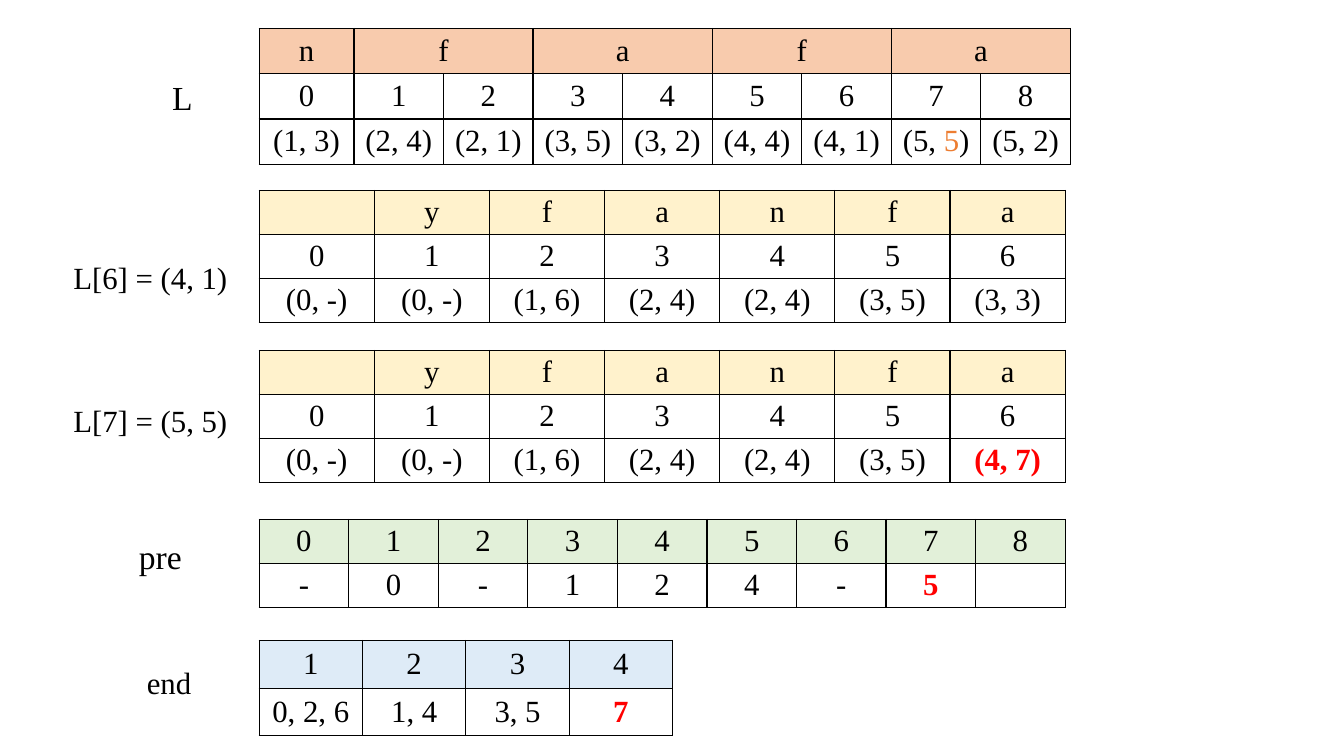
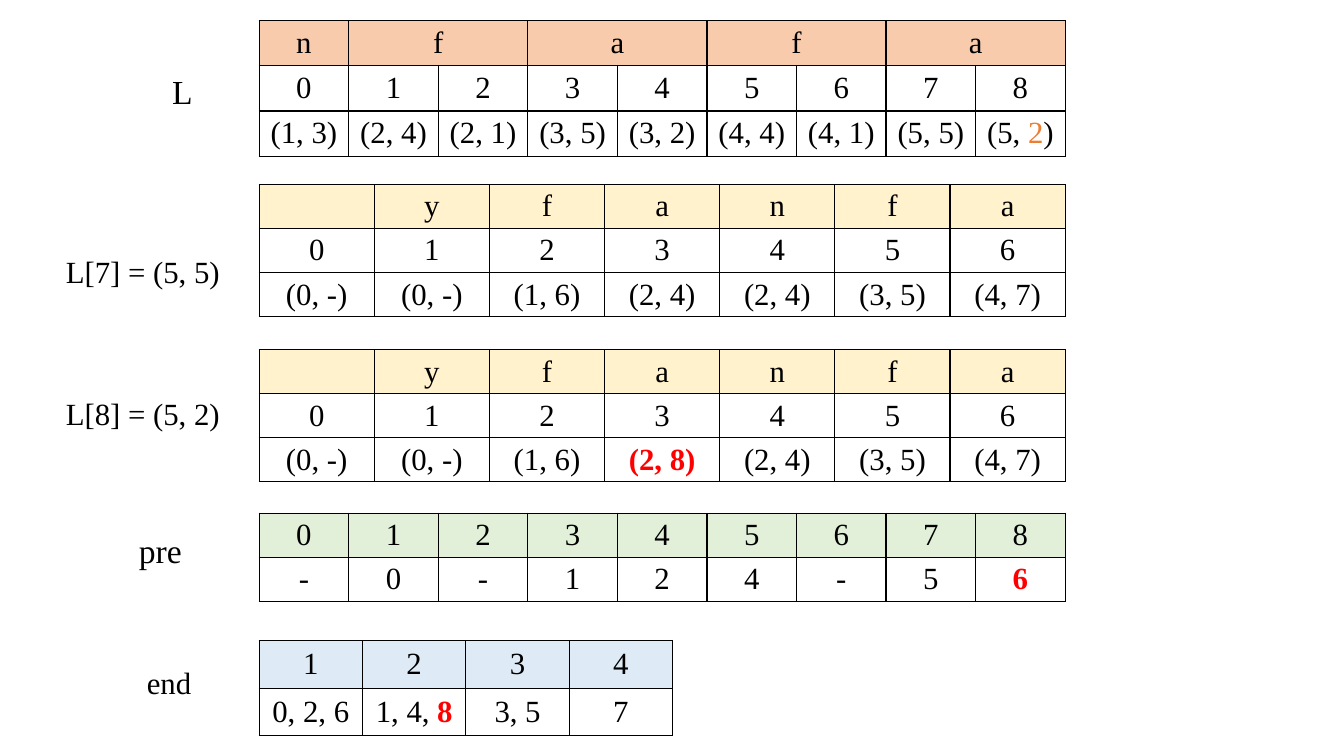
from dataclasses import dataclass

from lxml import etree
from pptx import Presentation
from pptx.dml.color import RGBColor
from pptx.enum.text import MSO_ANCHOR, PP_ALIGN
from pptx.oxml.ns import qn
from pptx.util import Cm, Pt

MIDDLE = MSO_ANCHOR.MIDDLE
CENTER, LEFT = PP_ALIGN.CENTER, PP_ALIGN.LEFT


@dataclass(frozen=True)
class Theme:
    font: str = "Times New Roman"
    body: int = 22
    label: int = 24
    text: str = "000000"
    pointer: str = "ED7D31"
    changed: str = "FF0000"
    list_head: str = "F8CBAD"
    state_head: str = "FFF2CC"
    pre_head: str = "E2F0D9"
    end_head: str = "DEEBF7"


T = Theme()

SLIDE_W, SLIDE_H = 33.87, 19.05
TABLE_X, TABLE_W = 6.53, 20.32
LABEL_H = 1.2


def changed(text):
    return (text, T.changed, True)


def pointer(text):
    return (text, T.pointer, False)


NUMBERS = [str(i) for i in range(9)]
LIST_HEAD = ["n", "f", None, "a", None, "f", None, "a", None]
LIST_PAIRS = ["(1, 3)", "(2, 4)", "(2, 1)", "(3, 5)", "(3, 2)", "(4, 4)", "(4, 1)"]
STATE_HEAD = ["", "y", "f", "a", "n", "f", "a"]
STATE_START = ["(0, -)", "(0, -)", "(1, 6)"]
STATE_END = ["(2, 4)", "(3, 5)"]
PRE_START = ["-", "0", "-", "1", "2", "4", "-"]

KINDS = {
    "list": dict(head=[LIST_HEAD, NUMBERS], fill=T.list_head, row_h=1.14, width=TABLE_W),
    "state": dict(head=[STATE_HEAD, NUMBERS[:7]], fill=T.state_head, row_h=1.11, width=TABLE_W),
    "pre": dict(head=[NUMBERS], fill=T.pre_head, row_h=1.11, width=TABLE_W),
    "end": dict(head=[NUMBERS[1:5]], fill=T.end_head, row_h=1.2, width=10.42),
}

SLIDES = [
    dict(
        first_col=2.39,
        tables=[
            ("list", 0.72, LIST_PAIRS + [["(5, ", pointer("5"), ")"], "(5, 2)"]),
            ("state", 4.8, STATE_START + ["(2, 4)"] + STATE_END + ["(3, 3)"]),
            ("state", 8.83, STATE_START + ["(2, 4)"] + STATE_END + [[changed("(4, 7)")]]),
            ("pre", 13.09, PRE_START + [[changed("5")], ""]),
            ("end", 16.14, ["0, 2, 6", "1, 4", "3, 5", [changed("7")]]),
        ],
        labels=[
            ("L", 4.09, 2.44, T.label),
            ("L[6] = (4, 1)", 1.6, 6.99, T.body),
            ("L[7] = (5, 5)", 1.6, 10.58, T.body),
            ("pre", 3.25, 14.02, T.label),
            ("end", 3.45, 17.2, T.body),
        ],
    ),
    dict(
        first_col=None,
        tables=[
            ("list", 0.52, LIST_PAIRS + ["(5, 5)", ["(5, ", pointer("2"), ")"]]),
            ("state", 4.65, STATE_START + ["(2, 4)"] + STATE_END + ["(4, 7)"]),
            ("state", 8.81, STATE_START + [[changed("(2, 8)")]] + STATE_END + ["(4, 7)"]),
            ("pre", 12.93, PRE_START + ["5", [changed("6")]]),
            ("end", 16.14, ["0, 2, 6", ["1, 4, ", changed("8")], "3, 5", "7"]),
        ],
        labels=[
            ("L", 4.09, 2.29, T.label),
            ("L[7] = (5, 5)", 1.41, 6.83, T.body),
            ("L[8] = (5, 2)", 1.41, 10.42, T.body),
            ("pre", 3.25, 13.85, T.label),
            ("end", 3.45, 17.2, T.body),
        ],
    ),
]


def write(p, content, size, align):
    p.alignment = align
    p.font.size = Pt(size)
    for part in [content] if isinstance(content, str) else content:
        text, color, bold = (part, T.text, False) if isinstance(part, str) else part
        if not text:
            continue
        r = p.add_run()
        r.text = text
        r.font.name = T.font
        r.font.size = Pt(size)
        r.font.bold = bold
        r.font.color.rgb = RGBColor.from_string(color)


def add_borders(cell):
    tc_pr = cell._tc.get_or_add_tcPr()
    for side in ("a:lnL", "a:lnR", "a:lnT", "a:lnB"):
        ln = etree.SubElement(tc_pr, qn(side), w=str(Pt(1)))
        fill = etree.SubElement(ln, qn("a:solidFill"))
        etree.SubElement(fill, qn("a:srgbClr"), val=T.text)


def format_cell(cell, content, fill):
    cell.vertical_anchor = MIDDLE
    cell.margin_left = cell.margin_right = Cm(0.1)
    cell.margin_top = cell.margin_bottom = 0
    add_borders(cell)
    if fill:
        cell.fill.solid()
        cell.fill.fore_color.rgb = RGBColor.from_string(fill)
    else:
        cell.fill.background()
    write(cell.text_frame.paragraphs[0], content or "", T.body, CENTER)


def add_grid(s, kind, top, last_row, first_col=None):
    style = KINDS[kind]
    rows = style["head"] + [last_row]
    n = len(last_row)
    widths = [style["width"] / n] * n
    if first_col:
        widths[0] = first_col
    heights = [style["row_h"]] * len(rows)
    table = s.shapes.add_table(len(rows), n, Cm(TABLE_X), Cm(top),
                               Cm(sum(widths)), Cm(sum(heights))).table
    table.first_row = table.horz_banding = False
    for col, width in zip(table.columns, widths):
        col.width = Cm(width)
    for row, height in zip(table.rows, heights):
        row.height = Cm(height)
    for i, row in enumerate(rows):
        for j, content in enumerate(row):
            format_cell(table.cell(i, j), content, None if i else style["fill"])
            if content is None:
                table.cell(i, j - 1).merge(table.cell(i, j))


def add_label(s, text, left, middle, size):
    sp = s.shapes.add_textbox(Cm(left), Cm(middle - LABEL_H / 2),
                              Cm(TABLE_X - left), Cm(LABEL_H))
    tf = sp.text_frame
    tf.word_wrap = True
    tf.vertical_anchor = MIDDLE
    write(tf.paragraphs[0], text, size, LEFT)


def main():
    prs = Presentation()
    prs.slide_width, prs.slide_height = Cm(SLIDE_W), Cm(SLIDE_H)
    for content in SLIDES:
        s = prs.slides.add_slide(prs.slide_layouts[6])
        for kind, top, last_row in content["tables"]:
            add_grid(s, kind, top, last_row,
                     content["first_col"] if kind == "list" else None)
        for label in content["labels"]:
            add_label(s, *label)
    prs.save("out.pptx")


if __name__ == "__main__":
    main()
